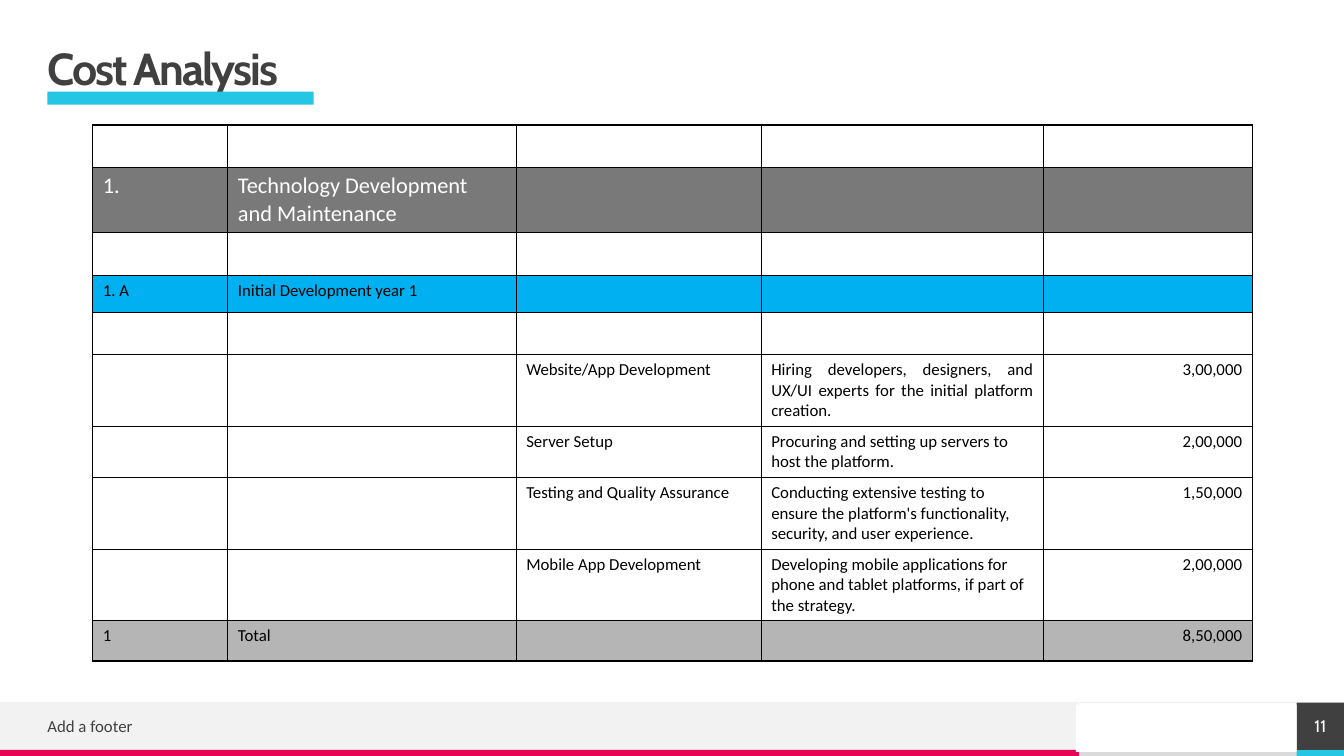
from lxml import etree
from pptx import Presentation
from pptx.dml.color import RGBColor
from pptx.enum.shapes import MSO_CONNECTOR, MSO_SHAPE
from pptx.enum.text import MSO_ANCHOR, PP_ALIGN
from pptx.oxml.ns import qn
from pptx.util import Inches, Pt

RECTANGLE = MSO_SHAPE.RECTANGLE
STRAIGHT = MSO_CONNECTOR.STRAIGHT
MIDDLE = MSO_ANCHOR.MIDDLE
LEFT, CENTER, RIGHT, JUSTIFY = PP_ALIGN.LEFT, PP_ALIGN.CENTER, PP_ALIGN.RIGHT, PP_ALIGN.JUSTIFY

COLORS = {
    "cyan": "25C6E3", "pink": "E80554", "dark": "404040", "pale": "F2F2F2",
    "silver": "DADADA", "white": "FFFFFF", "black": "000000",
    "section": "797979", "phase": "00B0F0", "total": "B5B5B5",
}

COLUMN_WIDTHS = [1.34, 2.86, 2.43, 2.8, 2.07]
EMPTY_ROW = (0.42, None, [""] * 5)
COST_ROWS = [
    EMPTY_ROW,
    (0.65, "section", ["1.", "Technology Development and Maintenance", "", "", ""]),
    EMPTY_ROW,
    (0.37, "phase", ["1. A", "Initial Development year 1", "", "", ""]),
    EMPTY_ROW,
    (0.71, None, ["", "", "Website/App Development",
                  "Hiring developers, designers, and UX/UI experts for the initial platform creation.",
                  "3,00,000"]),
    (0.51, None, ["", "", "Server Setup",
                  "Procuring and setting up servers to host the platform.", "2,00,000"]),
    (0.71, None, ["", "", "Testing and Quality Assurance",
                  "Conducting extensive testing to ensure the platform's functionality, "
                  "security, and user experience.", "1,50,000"]),
    (0.71, None, ["", "", "Mobile App Development",
                  "Developing mobile applications for phone and tablet platforms, if part of the strategy.",
                  "2,00,000"]),
    (0.4, "total", ["1", "Total", "", "", "8,50,000"]),
]
JUSTIFIED_CELL = (5, 3)


def rgb(name):
    return RGBColor.from_string(COLORS[name])


def write_text(frame, text, size=12, color="black", font="Calibri", bold=False,
               align=LEFT, line_spacing=None, tracking=None):
    para = frame.paragraphs[0]
    para.alignment = align
    if line_spacing:
        para.line_spacing = line_spacing
    para.font.size = Pt(size)
    if not text:
        return
    span = para.add_run()
    span.text = text
    span.font.size = Pt(size)
    span.font.name = font
    span.font.bold = bold
    span.font.color.rgb = rgb(color)
    if tracking:
        span.font._element.set("spc", str(round(tracking * 100)))


class SlideBuilder:
    def __init__(self, deck):
        self.page = deck.slides.add_slide(deck.slide_layouts[6])

    def set_frame(self, box):
        frame = box.text_frame
        frame.word_wrap = True
        frame.vertical_anchor = MIDDLE
        frame.margin_left = frame.margin_right = 0
        frame.margin_top = frame.margin_bottom = 0
        return frame

    def rectangle(self, left, top, width, height, fill, text="", **style):
        box = self.page.shapes.add_shape(
            RECTANGLE, Inches(left), Inches(top), Inches(width), Inches(height))
        box.shadow.inherit = False
        box.fill.solid()
        box.fill.fore_color.rgb = rgb(fill)
        box.line.fill.background()
        if text:
            write_text(self.set_frame(box), text, **style)

    def text(self, left, top, width, height, text, **style):
        box = self.page.shapes.add_textbox(
            Inches(left), Inches(top), Inches(width), Inches(height))
        write_text(self.set_frame(box), text, **style)

    def line(self, start, end, color, weight):
        rule = self.page.shapes.add_connector(STRAIGHT, *map(Inches, start + end))
        rule.line.color.rgb = rgb(color)
        rule.line.width = Pt(weight)
        etree.SubElement(rule._element.spPr, qn("a:effectLst"))

    def cell_borders(self, cell):
        properties = cell._tc.get_or_add_tcPr()
        for index, side in enumerate(("lnL", "lnR", "lnT", "lnB")):
            border = etree.Element(qn(f"a:{side}"), w=str(Pt(1)))
            fill = etree.SubElement(border, qn("a:solidFill"))
            etree.SubElement(fill, qn("a:srgbClr"), val=COLORS["black"])
            properties.insert(index, border)

    def cost_table(self, left, top):
        height = sum(row[0] for row in COST_ROWS)
        table = self.page.shapes.add_table(
            len(COST_ROWS), len(COLUMN_WIDTHS), Inches(left), Inches(top),
            Inches(sum(COLUMN_WIDTHS)), Inches(height)).table
        table.first_row = table.horz_banding = False
        for column, width in zip(table.columns, COLUMN_WIDTHS):
            column.width = Inches(width)
        for row_index, (row_height, fill, values) in enumerate(COST_ROWS):
            table.rows[row_index].height = Inches(row_height)
            heading = fill == "section"
            for column_index, value in enumerate(values):
                cell = table.cell(row_index, column_index)
                if fill:
                    cell.fill.solid()
                    cell.fill.fore_color.rgb = rgb(fill)
                else:
                    cell.fill.background()
                align = RIGHT if column_index == 4 else LEFT
                if (row_index, column_index) == JUSTIFIED_CELL:
                    align = JUSTIFY
                write_text(cell.text_frame, value, size=16 if heading else 12,
                           color="white" if heading else "black", align=align)
                self.cell_borders(cell)


def main():
    deck = Presentation()
    deck.slide_width, deck.slide_height = Inches(13.33), Inches(7.5)
    slide = SlideBuilder(deck)

    slide.rectangle(10.7, 7.44, 2.17, 0.06, "silver")
    slide.rectangle(0, 6.97, 10.7, 0.47, "pale")
    slide.rectangle(0, 7.44, 10.7, 0.06, "pink")
    slide.rectangle(12.86, 7.44, 0.47, 0.06, "cyan")
    slide.line((13.33, 6.97), (0, 6.97), "pale", 0.5)
    slide.text(0.47, 7.04, 6.19, 0.32, "Add a footer", color="dark")
    slide.rectangle(12.86, 6.97, 0.47, 0.47, "dark", "11", font="Cabin",
                    color="white", align=CENTER)

    slide.text(0.47, 0.47, 12.39, 0.47, "Cost Analysis", size=32, font="Cabin",
               color="dark", bold=True, line_spacing=0.9, tracking=-1.5)
    slide.cost_table(0.92, 1.24)
    slide.rectangle(10.67, 6.99, 2.19, 0.47, "white")
    slide.rectangle(0.47, 0.91, 2.64, 0.13, "cyan")

    deck.save("out.pptx")


if __name__ == "__main__":
    main()
